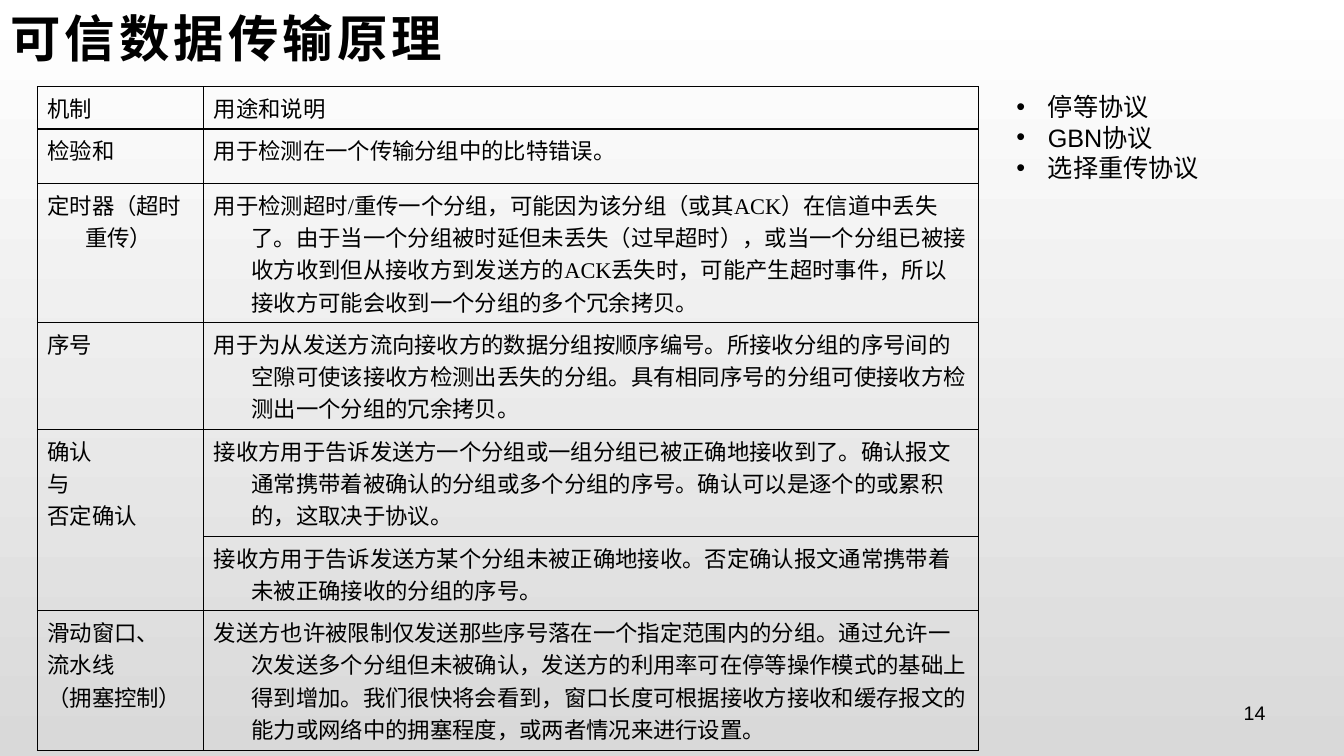
from dataclasses import dataclass

from lxml.etree import SubElement
from pptx import Presentation
from pptx.dml.color import RGBColor as Color
from pptx.enum.text import MSO_ANCHOR as Anchor, MSO_AUTO_SIZE as AutoSize, PP_ALIGN as Align
from pptx.oxml import parse_xml
from pptx.oxml.ns import nsdecls, qn
from pptx.util import Inches, Pt


@dataclass(frozen=True)
class Theme:
    """Colours, fonts and type sizes of the deck."""
    ink: str = "000000"
    top: str = "FFFFFF"
    bottom: str = "D9D9D9"
    sans: str = "Arial"
    serif: str = "Times New Roman"
    title: int = 36
    list: int = 18
    table: int = 16
    number: int = 14
    thin: float = 0.75
    thick: float = 1


THEME = Theme()
WIDTH, HEIGHT = 13.33, 7.5
COLUMNS = [1.65, 7.68]
ROWS = [0.42, 0.54, 1.38, 1.06, 1.06, 0.74, 1.39]
MECHANISMS = [
    ("机制", "用途和说明"),
    ("检验和", "用于检测在一个传输分组中的比特错误。"),
    ("定时器（超时重传）",
     "用于检测超时/重传一个分组，可能因为该分组（或其ACK）在信道中丢失了。"
     "由于当一个分组被时延但未丢失（过早超时），或当一个分组已被接收方收到但从接收方到发送方的ACK丢失时，"
     "可能产生超时事件，所以接收方可能会收到一个分组的多个冗余拷贝。"),
    ("序号",
     "用于为从发送方流向接收方的数据分组按顺序编号。所接收分组的序号间的空隙可使该接收方检测出丢失的分组。"
     "具有相同序号的分组可使接收方检测出一个分组的冗余拷贝。"),
    ("确认\n与\n否定确认",
     "接收方用于告诉发送方一个分组或一组分组已被正确地接收到了。"
     "确认报文通常携带着被确认的分组或多个分组的序号。确认可以是逐个的或累积的，这取决于协议。"),
    (None, "接收方用于告诉发送方某个分组未被正确地接收。否定确认报文通常携带着未被正确接收的分组的序号。"),
    ("滑动窗口、\n流水线\n（拥塞控制）",
     "发送方也许被限制仅发送那些序号落在一个指定范围内的分组。"
     "通过允许一次发送多个分组但未被确认，发送方的利用率可在停等操作模式的基础上得到增加。"
     "我们很快将会看到，窗口长度可根据接收方接收和缓存报文的能力或网络中的拥塞程度，或两者情况来进行设置。"),
]
PROTOCOLS = "停等协议\nGBN协议\n选择重传协议"


def apply(target, formats):
    """Set each named attribute on the target."""
    for name, value in formats.items():
        setattr(target, name, value)


def place(shape, box):
    """Move a shape to a box given in inches."""
    names = ("left", "top", "width", "height")
    apply(shape, dict(zip(names, map(Inches, box))))


def write(frame, text, font, layout=None, hang=0, bullet=None, tracking=0):
    """Fill a text frame with one paragraph for each line, hanging by points."""
    for index, line in enumerate(text.split("\n")):
        para = frame.add_paragraph() if index else frame.paragraphs[0]
        properties = para._p.get_or_add_pPr()
        if hang:
            properties.set("marL", str(Pt(hang)))
            properties.set("indent", str(-Pt(hang)))
            properties.set("hangingPunct", "0")
        if bullet:
            SubElement(properties, qn("a:buChar"), char=bullet)
        apply(para, layout or {})
        span = para.add_run()
        span.text = line
        apply(span.font, font)
        span.font.color.rgb = Color.from_string(THEME.ink)
        if tracking:
            span._r.get_or_add_rPr().set("spc", str(tracking * 100))


def paint_background(page):
    """Shade the page from top to bottom."""
    fill = page.background.fill
    fill.gradient()
    fill.gradient_angle = 270
    for stop, tone in zip(fill.gradient_stops, (THEME.top, THEME.bottom)):
        stop.color.rgb = Color.from_string(tone)


def add_title(page, box):
    """Set the heading in the title placeholder."""
    title = page.shapes.title
    place(title, box)
    apply(title.text_frame, {"vertical_anchor": Anchor.MIDDLE, "word_wrap": True,
                             "auto_size": AutoSize.NONE})
    write(title.text_frame, "可信数据传输原理",
          {"name": THEME.sans, "size": Pt(THEME.title), "bold": True},
          {"alignment": Align.LEFT}, tracking=3)


def draw_borders(cell, weights):
    """Line the sides of a cell with the given weights in points."""
    properties = cell._tc.get_or_add_tcPr()
    for index, (side, weight) in enumerate(weights.items()):
        properties.insert(index, parse_xml(
            f'<a:ln{side} {nsdecls("a")} w="{Pt(weight)}"><a:solidFill>'
            f'<a:srgbClr val="{THEME.ink}"/></a:solidFill></a:ln{side}>'))


def add_mechanisms(page, box):
    """Build the table of mechanisms and their uses."""
    table = page.shapes.add_table(len(ROWS), len(COLUMNS), *map(Inches, box)).table
    apply(table, {"first_row": False, "horz_banding": False})
    for column, width in zip(table.columns, COLUMNS):
        column.width = Inches(width)
    for row, height in zip(table.rows, ROWS):
        row.height = Inches(height)
    table.cell(4, 0).merge(table.cell(5, 0))
    font = {"name": THEME.serif, "size": Pt(THEME.table)}
    last = len(ROWS) - 1
    for row, texts in enumerate(MECHANISMS):
        for column, text in enumerate(texts):
            cell = table.cell(row, column)
            cell.fill.background()
            draw_borders(cell, {
                "L": THEME.thin, "R": THEME.thin,
                "T": THEME.thick if row < 2 else THEME.thin,
                "B": THEME.thick if row in (0, last) else THEME.thin})
            if text:
                write(cell.text_frame, text, font, hang=27)


def add_protocols(page, box):
    """List the protocols in the body placeholder."""
    body = page.placeholders[1]
    place(body, box)
    apply(body.text_frame, {"word_wrap": True, "vertical_anchor": Anchor.TOP,
                            "auto_size": AutoSize.SHAPE_TO_FIT_TEXT})
    write(body.text_frame, PROTOCOLS, {"name": THEME.sans, "size": Pt(THEME.list)},
          {"space_before": Pt(0)}, hang=22.5, bullet="•")


def add_number(page, box):
    """Put the page number at the right of its box."""
    frame = page.shapes.add_textbox(*map(Inches, box)).text_frame
    apply(frame, {"word_wrap": True, "vertical_anchor": Anchor.MIDDLE})
    write(frame, "14", {"name": THEME.sans, "size": Pt(THEME.number)},
          {"alignment": Align.RIGHT})


def main():
    """Build and save the deck."""
    deck = Presentation()
    apply(deck, {"slide_width": Inches(WIDTH), "slide_height": Inches(HEIGHT)})
    page = deck.slides.add_slide(deck.slide_layouts[1])
    left, top = 0.37, 0.86
    right = left + sum(COLUMNS)
    paint_background(page)
    add_title(page, (0, -0.01, 12, 0.77))
    add_mechanisms(page, (left, top, sum(COLUMNS), sum(ROWS)))
    add_number(page, (right, 6.9, 2.95, 0.35))
    add_protocols(page, (right + 0.28, top, 2.1, 1.01))
    deck.save("out.pptx")


if __name__ == "__main__":
    main()
